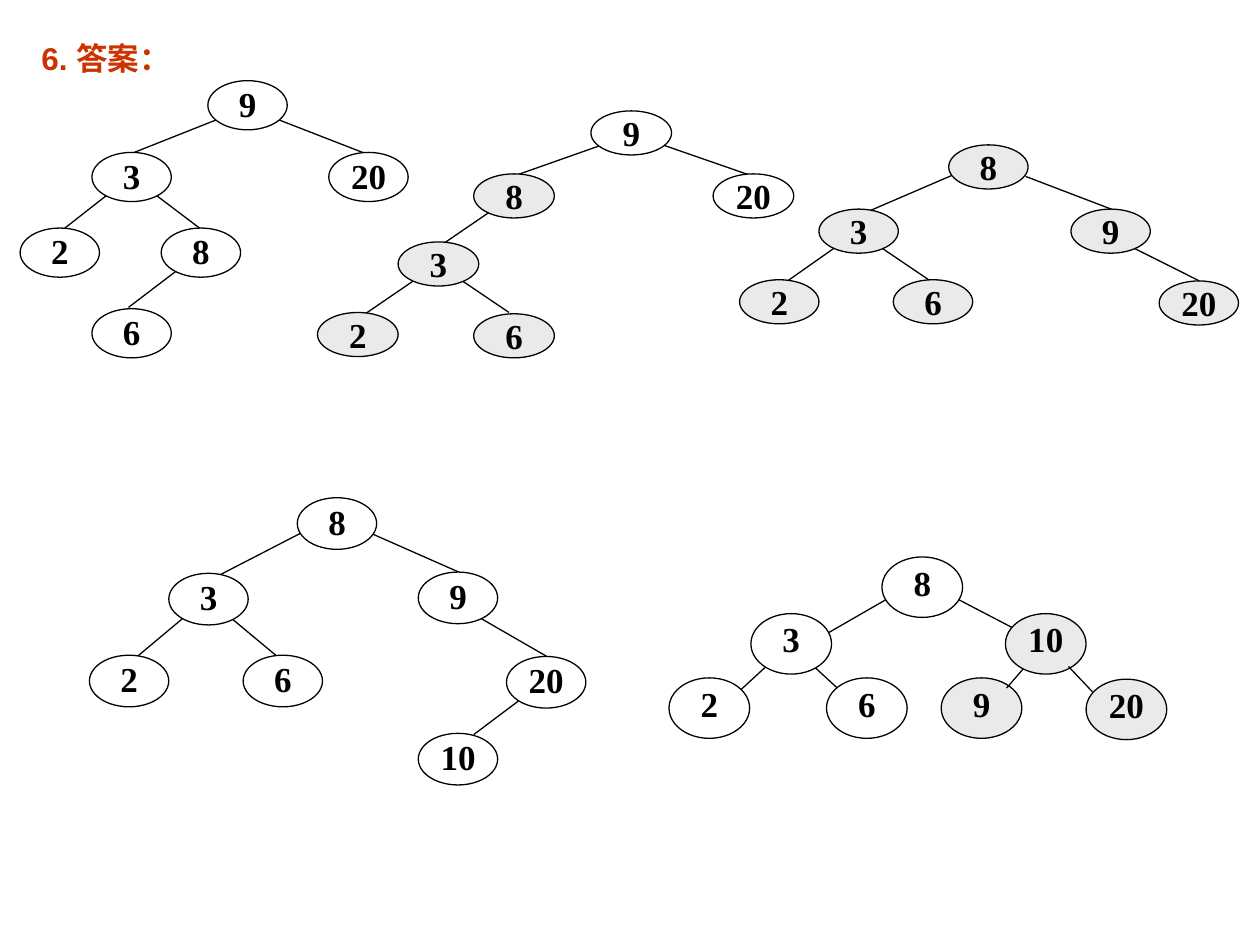
import pptx
import pptx.dml.color
import pptx.enum.shapes
import pptx.enum.text
import pptx.oxml.ns
import pptx.util
from lxml import etree
from pptx.util import Inches

COLORS = {"white": "FFFFFF", "gray": "EAEAEA", "ink": "000000", "title": "CC3300"}


def rgb(name):
    return pptx.dml.color.RGBColor.from_string(COLORS[name])


def add_edge(shapes, x1, y1, x2, y2):
    c = shapes.add_connector(pptx.enum.shapes.MSO_CONNECTOR.STRAIGHT,
                             Inches(x1), Inches(y1), Inches(x2), Inches(y2))
    c.line.color.rgb = rgb("ink")
    c.line.width = pptx.util.Pt(0.75)
    etree.SubElement(c._element.spPr, pptx.oxml.ns.qn("a:effectLst"))


trees = [
    {"size": (0.63, 0.39), "label": (0.29, 0.21),
     "edges": [(1.72, 0.95, 1.04, 1.22), (2.21, 0.95, 2.93, 1.23),
               (0.86, 1.54, 0.49, 1.83), (1.24, 1.55, 1.61, 1.83),
               (1.4, 2.15, 1.02, 2.44)],
     "white": [("9", 1.65, 0.64), ("20", 2.61, 1.21), ("8", 1.28, 1.81),
               ("3", 0.73, 1.21), ("2", 0.16, 1.81), ("6", 0.73, 2.45)]},
    {"size": (0.64, 0.35), "label": (0.29, 0.19),
     "edges": [(4.75, 1.16, 4.07, 1.4), (5.26, 1.15, 5.98, 1.4),
               (3.89, 1.68, 3.51, 1.94), (3.67, 2.23, 4.04, 2.48),
               (3.28, 2.23, 2.9, 2.49)],
     "white": [("9", 4.69, 0.88), ("20", 5.66, 1.38)],
     "gray": [("8", 3.76, 1.38), ("3", 3.16, 1.92), ("6", 3.76, 2.49),
              ("2", 2.52, 2.48)]},
    {"size": (0.63, 0.35), "label": (0.29, 0.19),
     "edges": [(7.56, 1.39, 6.91, 1.67), (8.14, 1.4, 8.82, 1.66),
               (7, 1.97, 7.37, 2.22), (6.62, 1.97, 6.25, 2.23),
               (9, 1.97, 9.52, 2.23)],
     "gray": [("8", 7.53, 1.15), ("9", 8.5, 1.66), ("3", 6.5, 1.66),
              ("6", 7.09, 2.22), ("2", 5.87, 2.22), ("20", 9.2, 2.23)]},
    {"size": (0.64, 0.48), "label": (0.3, 0.26),
     "edges": [(7.03, 4.76, 6.37, 5.14), (7.61, 4.76, 8.3, 5.12),
               (6.46, 5.29, 6.84, 5.64), (6.08, 5.29, 5.7, 5.64)],
     "white": [("8", 7, 4.42), ("3", 5.96, 4.87), ("6", 6.56, 5.38),
               ("2", 5.31, 5.38)],
     "gray": [("10", 7.98, 4.87), ("20", 8.62, 5.39), ("9", 7.47, 5.38)],
     "front_edges": [(8.48, 5.29, 8.67, 5.49), (8.12, 5.31, 7.99, 5.46)]},
    {"size": (0.63, 0.41), "label": (0.29, 0.22),
     "edges": [(2.39, 4.23, 1.75, 4.56), (2.96, 4.24, 3.64, 4.54),
               (1.84, 4.91, 2.2, 5.21), (1.46, 4.9, 1.09, 5.21),
               (3.82, 4.91, 4.34, 5.21), (4.12, 5.56, 3.76, 5.83)],
     "white": [("8", 2.36, 3.95), ("9", 3.32, 4.54), ("3", 1.34, 4.55),
               ("6", 1.93, 5.2), ("2", 0.71, 5.2), ("20", 4.02, 5.21),
               ("10", 3.32, 5.82)]},
]

prs = pptx.Presentation()
prs.slide_width = Inches(10)
prs.slide_height = Inches(7.5)
s = prs.slides.add_slide(prs.slide_layouts[6])

for tree in trees:
    shapes = s.shapes.add_group_shape().shapes
    w, h = tree["size"]
    lw, lh = tree["label"]
    for edge in tree["edges"]:
        add_edge(shapes, *edge)
    for fill in ("white", "gray"):
        for key, x, y in tree.get(fill, []):
            sp = shapes.add_shape(pptx.enum.shapes.MSO_SHAPE.OVAL,
                                  Inches(x), Inches(y), Inches(w), Inches(h))
            sp.shadow.inherit = False
            sp.fill.solid()
            sp.fill.fore_color.rgb = rgb(fill)
            sp.line.color.rgb = rgb("ink")
            sp.line.width = pptx.util.Pt(0.75)
            tb = shapes.add_textbox(Inches(x + (w - lw) / 2), Inches(y + (h - lh) / 2),
                                    Inches(lw), Inches(lh))
            tb.fill.solid()
            tb.fill.fore_color.rgb = rgb(fill)
            tf = tb.text_frame
            tf.word_wrap = True
            tf.margin_left = tf.margin_right = tf.margin_top = tf.margin_bottom = 0
            tf.text = key
            p = tf.paragraphs[0]
            p.alignment = pptx.enum.text.PP_ALIGN.CENTER
            p.line_spacing = 0.76
            r = p.runs[0]
            r.font.name = "Times New Roman"
            r.font.size = pptx.util.Pt(20)
            r.font.bold = True
            r.font.color.rgb = rgb("ink")
    for edge in tree.get("front_edges", []):
        add_edge(shapes, *edge)

tb = s.shapes.add_textbox(Inches(0.23), Inches(0.26), Inches(1.23), Inches(0.4))
tf = tb.text_frame
tf.word_wrap = True
tf.text = "6. 答案："
r = tf.paragraphs[0].runs[0]
r.font.name = "Arial"
r.font.size = pptx.util.Pt(18)
r.font.bold = True
r.font.color.rgb = rgb("title")

prs.save("out.pptx")
